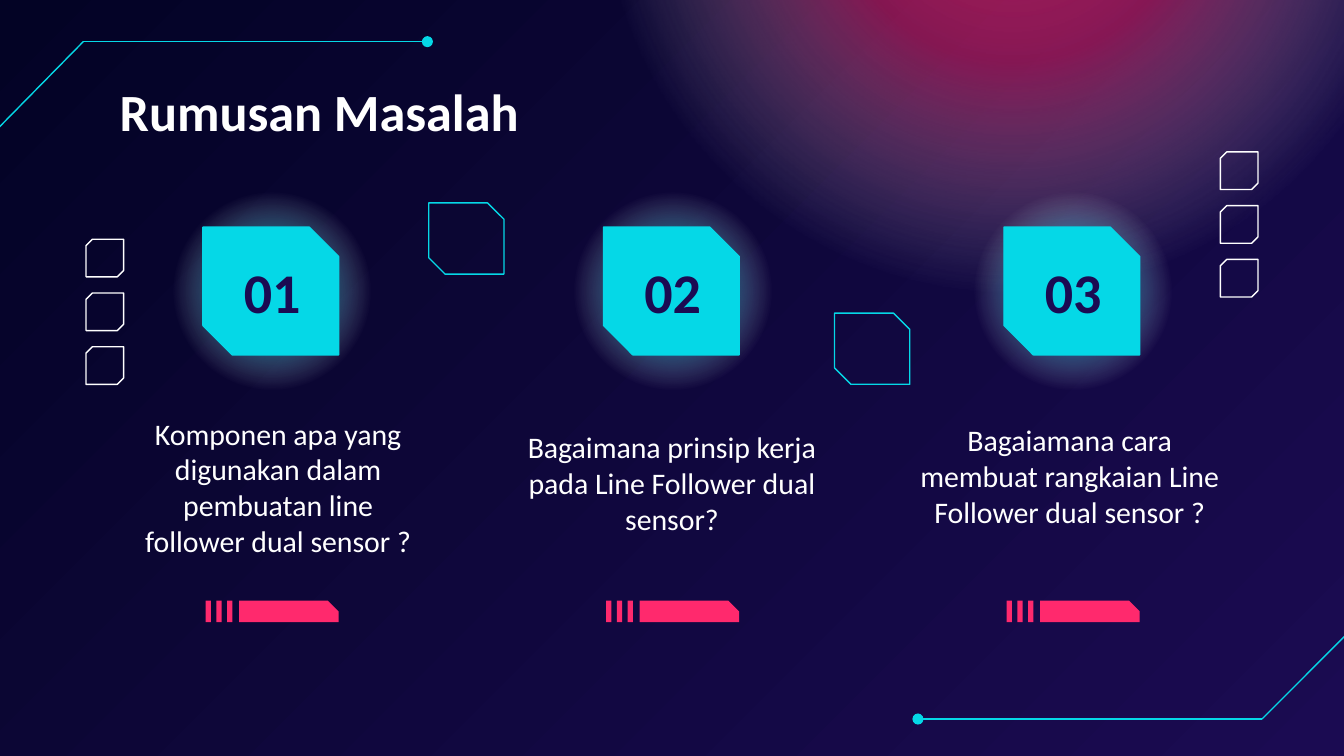
import pptx
import pptx.dml.color
import pptx.enum.shapes
import pptx.enum.text
import pptx.oxml
import pptx.oxml.ns
import pptx.util
from lxml import etree

Inches = pptx.util.Inches
Pt = pptx.util.Pt
qn = pptx.oxml.ns.qn
SHAPE = pptx.enum.shapes.MSO_SHAPE
ALIGN = pptx.enum.text.PP_ALIGN
ANCHOR = pptx.enum.text.MSO_ANCHOR

CYAN, PINK, WHITE = "05D8E7", "FF296D", "FFFFFF"
NIGHT, INDIGO = "030325", "1B0B52"
FIRST_CENTER, COLUMN_STEP = 2.02, 2.98
COMPARISON_LAYOUT = 4

# caption text, left, top, width
CAPTIONS = [
    ("Komponen apa yang digunakan dalam pembuatan line follower dual sensor ?",
     0.9, 2.99, 2.34),
    ("Bagaimana prinsip kerja pada Line Follower dual sensor?",
     3.76, 3.09, 2.48),
    ("Bagaiamana cara membuat rangkaian Line Follower dual sensor ?",
     6.72, 3.04, 2.48),
]


def color(value):
    return pptx.dml.color.RGBColor.from_string(value)


class Painter:
    font = "Calibri"
    line_width = Pt(0.75)

    def __init__(self, page):
        self.page = page

    def background(self, start, end):
        fill = self.page.background.fill
        fill.gradient()
        fill.gradient_angle = 315
        for stop, value in zip(fill.gradient_stops, (start, end)):
            stop.color.rgb = color(value)

    def shape(self, kind, left, top, width, height, fill=None, line=None,
              adjustments=(), rotation=0):
        shape = self.page.shapes.add_shape(
            kind, Inches(left), Inches(top), Inches(width), Inches(height))
        shape.shadow.inherit = False
        shape.rotation = rotation
        for index, value in enumerate(adjustments):
            shape.adjustments[index] = value
        if fill:
            shape.fill.solid()
            shape.fill.fore_color.rgb = color(fill)
        else:
            shape.fill.background()
        if line:
            shape.line.color.rgb = color(line)
            shape.line.width = self.line_width
        else:
            shape.line.fill.background()
        return shape

    def snipped(self, left, top, width, height, line, fill=None, snip=0.23,
                rotation=0):
        """Rectangle with two opposite corners cut off."""
        self.shape(SHAPE.SNIP_2_DIAG_RECTANGLE, left, top, width, height,
                   fill, line, (0, snip), rotation)

    def glow(self, left, top, size, value, inner, middle):
        """Circle that fades outwards; inner and middle are opacities in percent."""
        shape = self.shape(SHAPE.OVAL, left, top, size, size)
        stops = "".join(
            f'<a:gs pos="{place * 1000}"><a:srgbClr val="{tone}">'
            f'<a:alpha val="{opacity * 1000}"/></a:srgbClr></a:gs>'
            for place, tone, opacity in ((0, value, inner), (30, value, middle),
                                         (69, WHITE, 0), (100, WHITE, 0)))
        gradient = pptx.oxml.parse_xml(
            f'<a:gradFill {pptx.oxml.ns.nsdecls("a")} rotWithShape="1">'
            f'<a:gsLst>{stops}</a:gsLst><a:path path="circle">'
            '<a:fillToRect l="50000" t="50000" r="50000" b="50000"/>'
            '</a:path></a:gradFill>')
        properties = shape.element.spPr
        properties.replace(properties.find(qn("a:noFill")), gradient)

    def line(self, start, end, dot=False):
        connector = self.page.shapes.add_connector(
            pptx.enum.shapes.MSO_CONNECTOR.STRAIGHT,
            *(Inches(value) for value in (*start, *end)))
        connector.line.color.rgb = color(CYAN)
        connector.line.width = self.line_width
        properties = connector.element.spPr
        if dot:
            etree.SubElement(properties.find(qn("a:ln")), qn("a:tailEnd"), type="oval")
        etree.SubElement(properties, qn("a:effectLst"))

    def text(self, box, text, left, top, width, height, size, value=WHITE,
             bold=False, align=ALIGN.CENTER, anchor=ANCHOR.TOP, after=0):
        """Place and format a text box or placeholder."""
        box.left, box.top = Inches(left), Inches(top)
        box.width, box.height = Inches(width), Inches(height)
        frame = box.text_frame
        frame.text = text
        frame.word_wrap = True
        frame.auto_size = pptx.enum.text.MSO_AUTO_SIZE.NONE
        frame.vertical_anchor = anchor
        frame.margin_left = frame.margin_right = Inches(0.1)
        frame.margin_top = frame.margin_bottom = Inches(0.1)
        para = frame.paragraphs[0]
        para.alignment = align
        para.line_spacing = 1.0
        para.space_before, para.space_after = Pt(0), Pt(after)
        para.font.name, para.font.size = self.font, Pt(size)
        para.font.bold = bold
        para.font.color.rgb = color(value)
        properties = para._p.get_or_add_pPr()
        properties.set("marL", "0")
        properties.set("indent", "0")
        properties.insert_element_before(
            properties.makeelement(qn("a:buNone")), "a:defRPr")

    def number(self, center, text):
        box = self.page.shapes.add_textbox(0, 0, 0, 0)
        self.text(box, text, center - 0.42, 1.9, 0.85, 0.53, 30, INDIGO,
                  bold=True, anchor=ANCHOR.MIDDLE)

    def bar(self, center):
        """Three ticks followed by a snipped bar."""
        for index in range(3):
            self.shape(SHAPE.RECTANGLE, center - 0.49 + 0.08 * index, 4.47,
                       0.04, 0.16, PINK)
        self.shape(SHAPE.SNIP_1_RECTANGLE, center - 0.24, 4.47, 0.74, 0.16,
                   PINK, adjustments=(0.5,))


def main():
    deck = pptx.Presentation()
    deck.slide_width = Inches(10)
    deck.slide_height = deck.slide_width * 9 // 16
    page = deck.slides.add_slide(deck.slide_layouts[COMPARISON_LAYOUT])
    painter = Painter(page)
    painter.background(NIGHT, INDIGO)

    painter.glow(4.41, -3.99, 6.25, PINK, 67, 49)
    for edge, corner, end in (((-0.01, 0.95), (0.62, 0.31), (3.18, 0.31)),
                              ((10.02, 4.72), (9.39, 5.35), (6.83, 5.35))):
        painter.line(edge, corner)
        painter.line(corner, end, dot=True)

    title, *bodies = page.placeholders
    painter.text(title, "Rumusan Masalah", 0.79, 0.49, 7.85, 0.67, 28,
                 bold=True, align=ALIGN.LEFT)
    for index, (caption, left, top, width) in enumerate(CAPTIONS):
        center = FIRST_CENTER + COLUMN_STEP * index
        painter.glow(center - 0.75, 1.41, 1.51, CYAN, 71, 48)
        painter.snipped(center - 0.51, 1.69, 1.01, 0.95, CYAN, fill=CYAN)
        painter.number(center, f"{index + 1:02}")
        painter.text(bodies[index], caption, left, top, width, 1.01, 16, after=12)
        painter.bar(center)
    for spare in bodies[len(CAPTIONS):]:
        spare.element.getparent().remove(spare.element)

    for left, top in ((3.19, 1.51), (6.21, 2.33)):
        painter.snipped(left, top, 0.56, 0.53, CYAN)
    for left, top in ((9.08, 1.13), (0.64, 1.78)):
        for index in range(3):
            painter.snipped(left, top + 0.4 * index, 0.28, 0.28, WHITE,
                            snip=0.17, rotation=90)

    deck.save("out.pptx")


if __name__ == "__main__":
    main()
